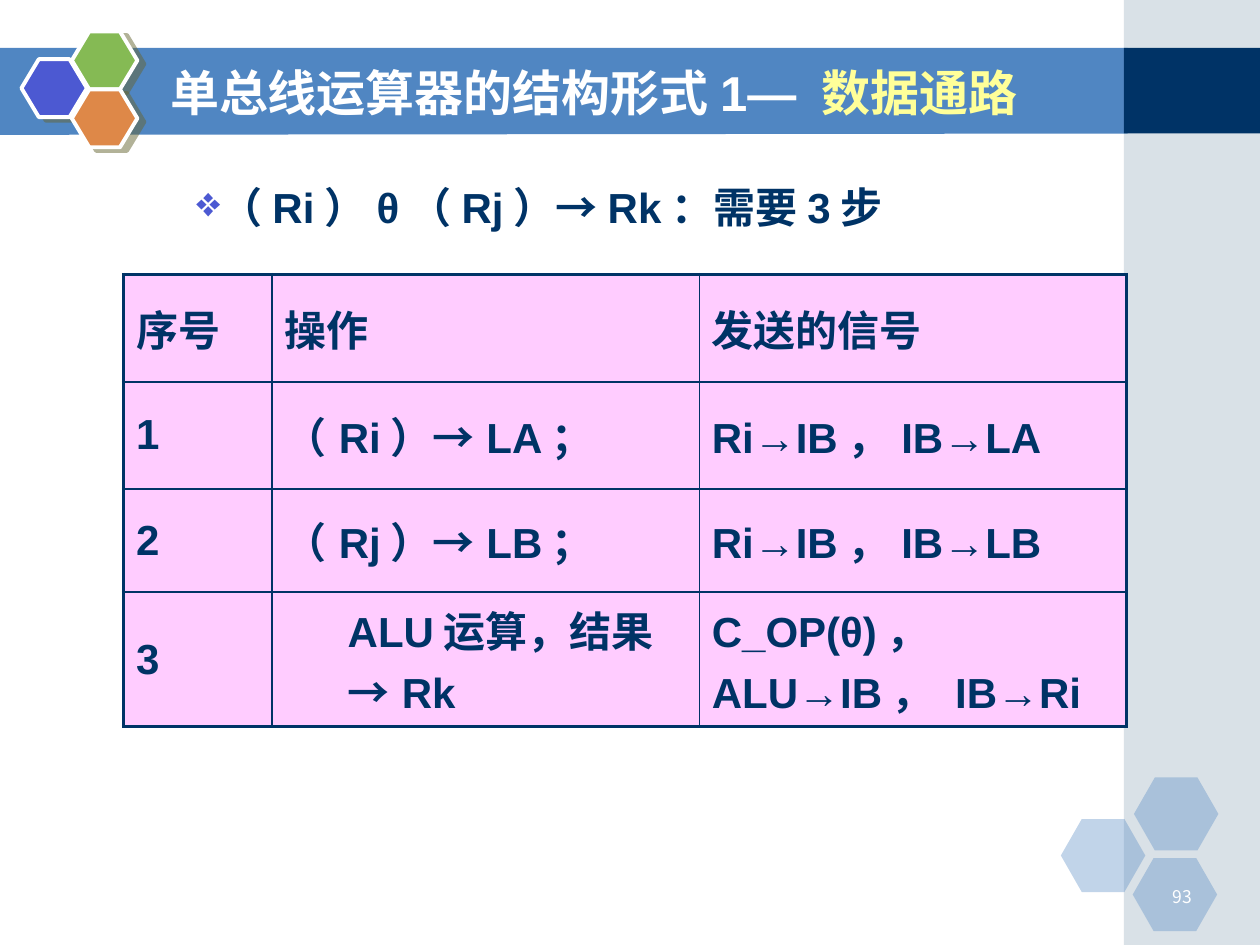
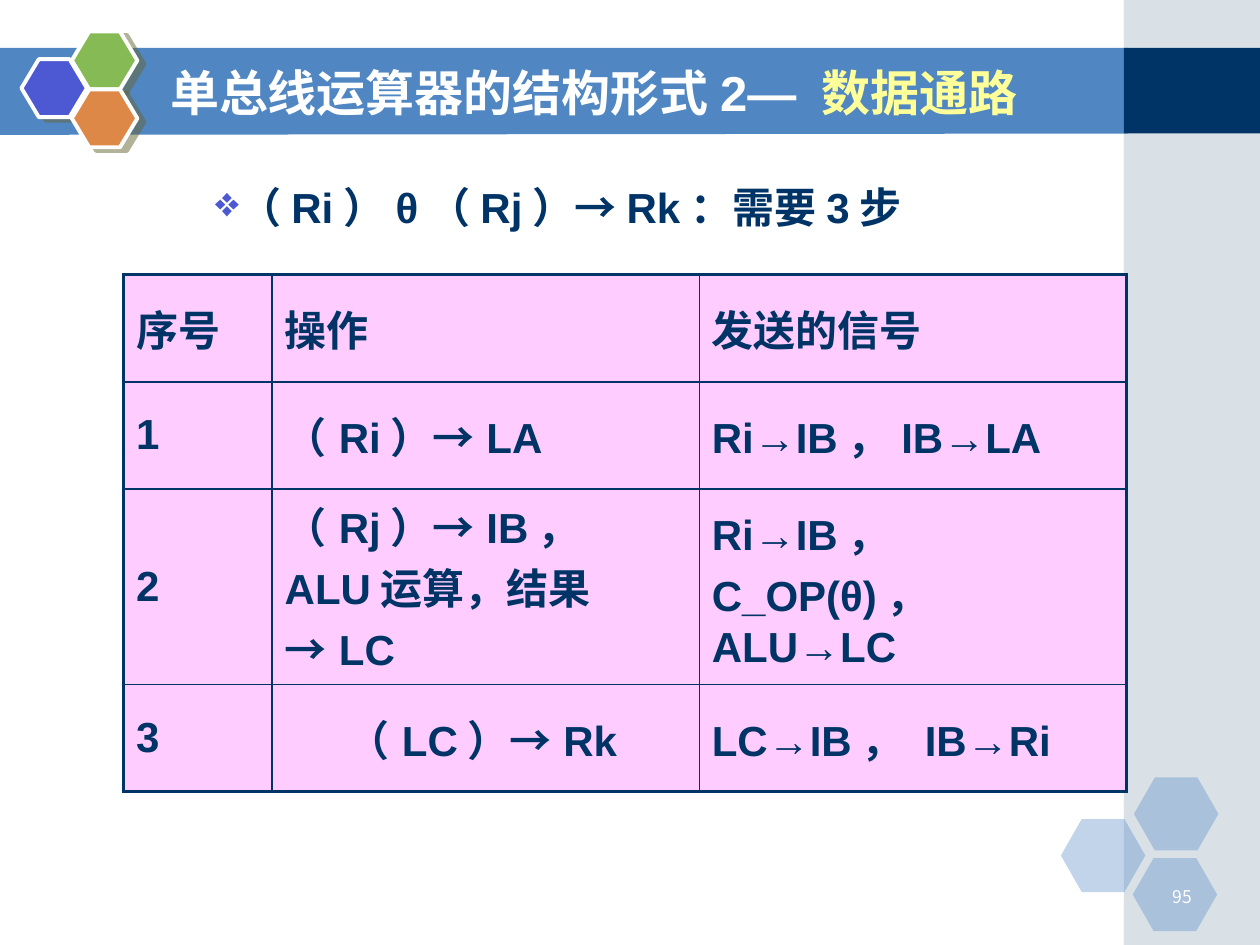
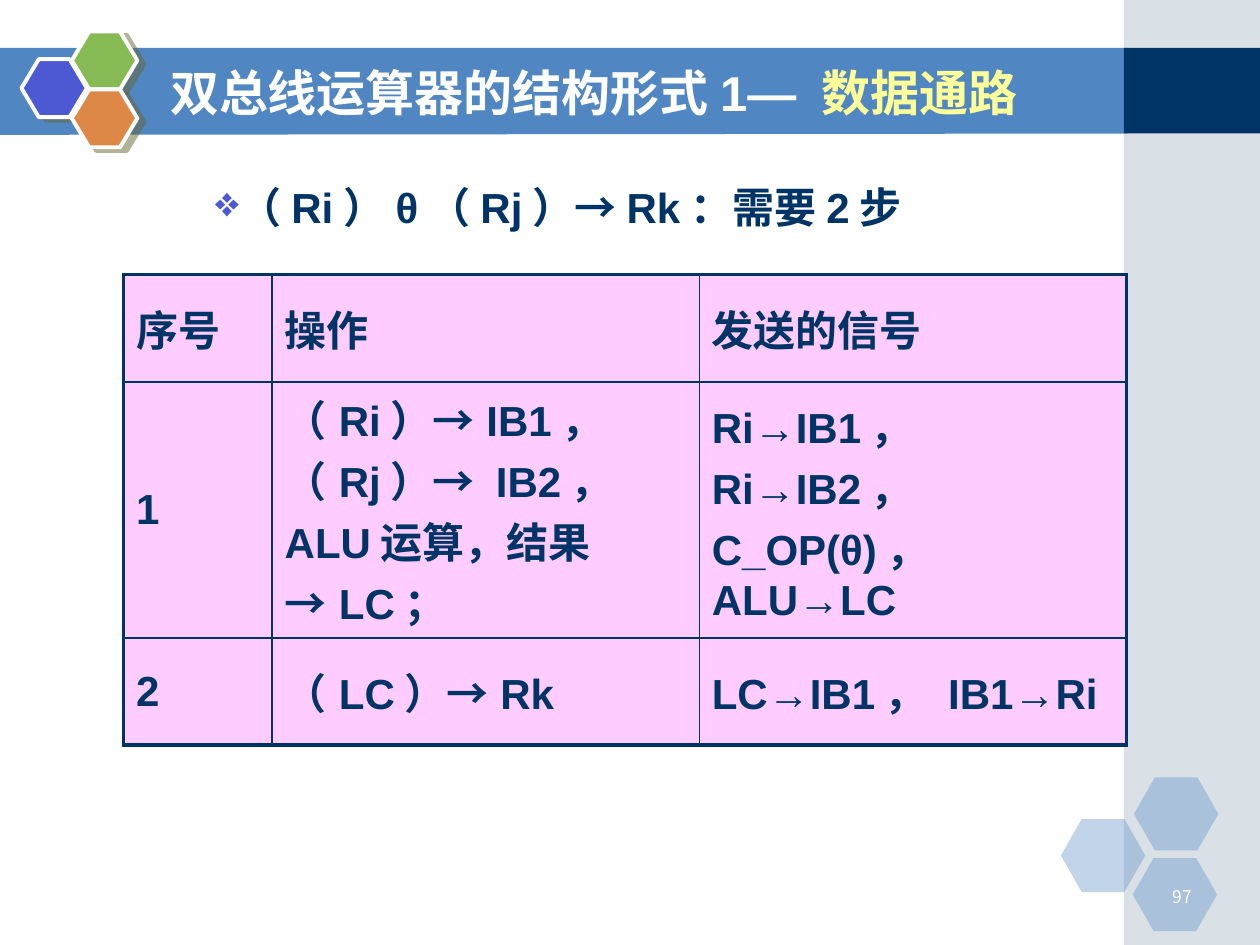
import dataclasses

import lxml.etree
import pptx
import pptx.dml.color
import pptx.enum.shapes
import pptx.enum.text
import pptx.oxml.ns
import pptx.util

COLOURS = {
    "navy": "003366", "band": "5086C2", "side": "A0B5C4", "white": "FFFFFF",
    "accent": "FFFF99", "cell": "FFCCFF", "indigo": "4C59D2",
    "green": "85BA54", "orange": "DE8848", "shade": "666633",
}
LATIN, CJK = "Arial", "Noto Sans CJK SC"
UNIT = pptx.util.Inches(0.1)
PRESET = pptx.enum.shapes.MSO_SHAPE
qn = pptx.oxml.ns.qn


@dataclasses.dataclass
class Box:
    """A region in cells of a grid of 100 columns and 75 rows."""
    left: float
    top: float
    width: float
    height: float

    def inside(self, left, top, width, height):
        """Return a region measured from this one's corner."""
        return Box(self.left + left, self.top + top, width, height)

    def lengths(self):
        """Return left, top, width and height as slide lengths."""
        return [round(cells * UNIT) for cells in dataclasses.astuple(self)]


SLIDE = Box(0, 0, 100, 75)
SIDE = SLIDE.inside(89.2, 0, 10.8, 75)
BAND = SLIDE.inside(-0.1, 3.8, 89.6, 6.9)
EMBLEM = SLIDE.inside(1.7, 2.5, 9.2, 9.2)
CORNER = SLIDE.inside(84.2, 61.7, 12.5, 12.2)
TITLE = SLIDE.inside(12.5, 4.2, 73.3, 6.2)
TABLE = SLIDE.inside(9.8, 21.8, 79.5, 34.2)
COLUMNS = [11.8, 33.9, 33.9]
HEADINGS = ["序号", "操作", "发送的信号"]


def rgb(name):
    """Return a named colour."""
    return pptx.dml.color.RGBColor.from_string(COLOURS[name])


def add_element(parent, tag, **attributes):
    """Append an XML element with the given attributes."""
    names = {key: str(setting) for key, setting in attributes.items()}
    return lxml.etree.SubElement(parent, qn(tag), names)


def paint(shape, colour, opacity=100):
    """Give a shape a plain fill without line or shadow."""
    shape.shadow.inherit = False
    shape.fill.solid()
    shape.fill.fore_color.rgb = rgb(colour)
    if opacity < 100:
        add_element(next(shape.element.iter(qn("a:srgbClr"))), "a:alpha", val=opacity * 1000)
    shape.line.fill.background()


def add_run(paragraph, text, size, colour, bold=True, font=LATIN):
    """Add one formatted run."""
    run = paragraph.add_run()
    run.text = text
    run.font.size = pptx.util.Pt(size)
    run.font.bold = bold
    run.font.color.rgb = rgb(colour)
    run.font.name = font
    add_element(run.font.element if hasattr(run.font, "element") else run._r.get_or_add_rPr(),
                "a:ea", typeface=CJK)


def add_hexagons(slide, box, size, adjustment, cells):
    """Place three hexagons in a box and return them."""
    hexagons = []
    for left, top, colour, opacity in cells:
        hexagon = slide.shapes.add_shape(PRESET.HEXAGON, *box.inside(left, top, *size).lengths())
        hexagon.adjustments[0] = adjustment
        paint(hexagon, colour, opacity)
        hexagons.append(hexagon)
    return hexagons


def add_emblem(slide, box):
    """Draw the coloured hexagons beside the title."""
    cells = [(0, 2.2, "indigo", 100), (4, 0, "green", 100), (4, 4.6, "orange", 100)]
    for hexagon in add_hexagons(slide, box, (5.2, 4.6), 0.3, cells):
        hexagon.line.color.rgb = rgb("white")
        hexagon.line.width = pptx.util.Pt(2.25)
        effects = next(hexagon.element.iter(qn("a:effectLst")))
        shadow = add_element(effects, "a:outerShdw", dist=pptx.util.Pt(4.5),
                             dir=27 * 60000, algn="ctr", rotWithShape=0)
        tint = add_element(shadow, "a:srgbClr", val=COLOURS["shade"])
        add_element(tint, "a:alpha", val=50000)


def add_corner(slide, box, number):
    """Draw the pale hexagons and the slide number."""
    cells = [(0, 3.3, "band", 35), (5.8, 0, "band", 35), (5.7, 6.4, "band", 35)]
    add_hexagons(slide, box, (6.7, 5.8), 0.286, cells)
    label = slide.shapes.add_textbox(*box.inside(6.4, 8.1, 5, 2.5).lengths())
    label.text_frame.word_wrap = True
    paragraph = label.text_frame.paragraphs[0]
    paragraph.alignment = pptx.enum.text.PP_ALIGN.RIGHT
    add_run(paragraph, str(number), 10, "white", False, CJK)


def add_backdrop(slide, number):
    """Draw everything the slides share."""
    left, top, width, height = BAND.lengths()
    outline = slide.shapes.build_freeform(left, top)
    outline.add_line_segments([(left + width, top),
                               (left + width, top + height - UNIT // 10),
                               (left, top + height)])
    paint(outline.convert_to_shape(), "band")
    for box, colour, opacity in [(SIDE, "side", 40),
                                 (SIDE.inside(0, 3.8, 10.8, 6.8), "navy", 100)]:
        paint(slide.shapes.add_shape(PRESET.RECTANGLE, *box.lengths()), colour, opacity)
    add_corner(slide, CORNER, number)
    add_emblem(slide, EMBLEM)


def add_title(slide, box, topic):
    """Format the title placeholder in front of the band."""
    title = slide.shapes.title
    slide.shapes.element.append(title.element)
    title.left, title.top, title.width, title.height = box.lengths()
    frame = title.text_frame
    frame.word_wrap = True
    frame.auto_size = pptx.enum.text.MSO_AUTO_SIZE.NONE
    frame.vertical_anchor = pptx.enum.text.MSO_ANCHOR.MIDDLE
    paragraph = frame.paragraphs[0]
    paragraph.alignment = pptx.enum.text.PP_ALIGN.LEFT
    add_run(paragraph, f"{topic}— ", 28, "white")
    add_run(paragraph, "数据通路", 28, "accent")


def add_summary(slide, box, steps):
    """Write the bulleted line above the table."""
    summary = slide.shapes.add_textbox(*box.lengths())
    summary.text_frame.word_wrap = True
    paragraph = summary.text_frame.paragraphs[0]
    properties = paragraph._p.get_or_add_pPr()
    add_element(add_element(properties, "a:buClr"), "a:srgbClr", val=COLOURS["indigo"])
    add_element(properties, "a:buChar", char="❖")
    add_run(paragraph, f"（Ri）θ（Rj）→Rk：需要{steps}步", 24, "navy")


def add_borders(cell, outer_sides):
    """Rule a cell, with heavier lines on its outer sides."""
    properties = cell._tc.get_or_add_tcPr()
    for position, side in enumerate("LRTB"):
        width = pptx.util.Pt(2.25 if side in outer_sides else 1)
        border = add_element(properties, f"a:ln{side}", w=width)
        add_element(add_element(border, "a:solidFill"), "a:srgbClr", val=COLOURS["navy"])
        properties.insert(position, border)


def add_steps(slide, box, heights, steps, indented):
    """Build the table of operations and signals."""
    rows = [HEADINGS] + [[str(number), *step] for number, step in enumerate(steps, 1)]
    region = box.inside(0, 0, box.width, sum(heights))
    table = slide.shapes.add_table(len(rows), len(COLUMNS), *region.lengths()).table
    table.first_row = table.horz_banding = False
    for column, width in zip(table.columns, COLUMNS):
        column.width = round(width * UNIT)
    for r, (entries, height) in enumerate(zip(rows, heights)):
        table.rows[r].height = round(height * UNIT)
        for c, entry in enumerate(entries):
            cell = table.cell(r, c)
            cell.fill.solid()
            cell.fill.fore_color.rgb = rgb("cell")
            cell.vertical_anchor = pptx.enum.text.MSO_ANCHOR.MIDDLE
            edges = {"L": c == 0, "R": c == len(COLUMNS) - 1,
                     "T": r == 0, "B": r == len(rows) - 1}
            add_borders(cell, [side for side, outer in edges.items() if outer])
            paragraph = cell.text_frame.paragraphs[0]
            if indented and edges["B"] and c == 1:
                paragraph.level = 1
                properties = paragraph._p.get_or_add_pPr()
                properties.set("marL", str(5 * UNIT))
                properties.set("indent", "0")
            add_run(paragraph, entry, 24, "navy")


LESSONS = [
    dict(number=93, topic="单总线运算器的结构形式1", summary_left=14.6,
         heights=[8.5, 8.5, 8.2, 9], indented=True,
         steps=[("（Ri）→LA；", "Ri→IB，IB→LA"),
                ("（Rj）→LB；", "Ri→IB，IB→LB"),
                ("ALU运算，结果→Rk", "C_OP(θ)，ALU→IB， IB→Ri")]),
    dict(number=95, topic="单总线运算器的结构形式2", summary_left=16.1,
         heights=[8.5, 8.5, 9, 8.5], indented=True,
         steps=[("（Ri）→LA", "Ri→IB，IB→LA"),
                ("（Rj）→IB， ALU运算，结果→LC", "Ri→IB，C_OP(θ)，ALU→LC"),
                ("（LC）→Rk", "LC→IB， IB→Ri")]),
    dict(number=97, topic="双总线运算器的结构形式1", summary_left=16.1,
         heights=[8.5, 13, 8.5], indented=False,
         steps=[("（Ri）→IB1，（Rj）→ IB2，ALU运算，结果→LC；",
                 "Ri→IB1，Ri→IB2， C_OP(θ)，ALU→LC"),
                ("（LC）→Rk", "LC→IB1， IB1→Ri")]),
]


def add_lesson(deck, number, topic, summary_left, heights, indented, steps):
    """Build one slide of the lesson."""
    slide = deck.slides.add_slide(deck.slide_layouts[5])
    add_backdrop(slide, number)
    add_title(slide, TITLE, topic)
    add_steps(slide, TABLE, heights, steps, indented)
    add_summary(slide, SLIDE.inside(summary_left, 13.9, 72.4, 5), len(steps))


def main():
    """Build and save the presentation."""
    deck = pptx.Presentation()
    deck.slide_width, deck.slide_height = SLIDE.lengths()[2:]
    for lesson in LESSONS:
        add_lesson(deck, **lesson)
    deck.save("out.pptx")


if __name__ == "__main__":
    main()
